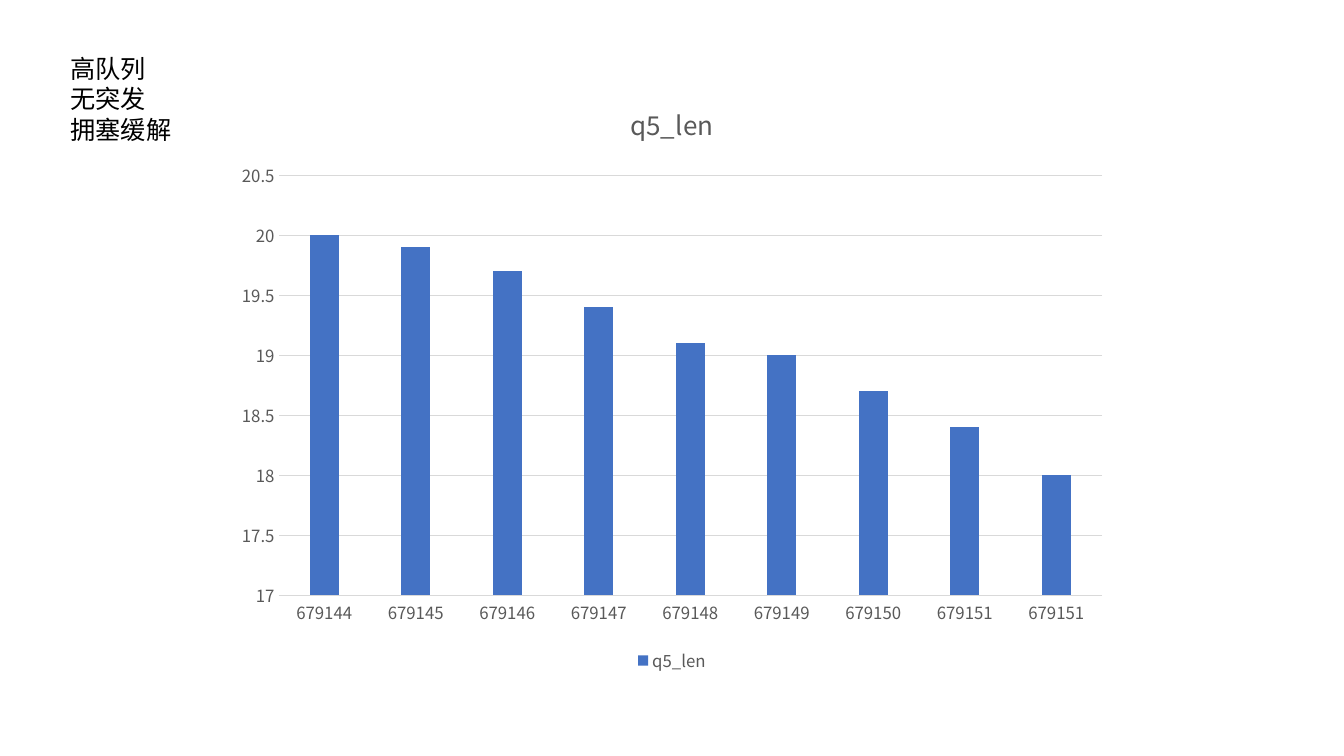
"""Build a slide with a queue length column chart and a short note."""
from lxml import etree
from pptx import Presentation
from pptx.chart.data import CategoryChartData
from pptx.dml.color import RGBColor
from pptx.enum.chart import XL_CHART_TYPE, XL_LEGEND_POSITION, XL_TICK_MARK
from pptx.enum.text import MSO_AUTO_SIZE
from pptx.oxml.ns import qn
from pptx.util import Pt

COLUMN = XL_CHART_TYPE.COLUMN_CLUSTERED
BOTTOM = XL_LEGEND_POSITION.BOTTOM
NO_TICK = XL_TICK_MARK.NONE
GROW = MSO_AUTO_SIZE.SHAPE_TO_FIT_TEXT
FONT = "Noto Sans CJK SC"
GREY = "595959"
GRID = "D9D9D9"


def rgb(value):
    return RGBColor.from_string(value)


def set_font(font, size, color):
    for name, value in {"name": FONT, "size": Pt(size), "bold": False}.items():
        setattr(font, name, value)
    font.color.rgb = rgb(color)


prs = Presentation()
prs.slide_width, prs.slide_height = Pt(960), Pt(540)
s = prs.slides.add_slide(prs.slide_layouts[6])

tf = s.shapes.add_textbox(Pt(43.2), Pt(34.6), Pt(192), Pt(72.7)).text_frame
tf.word_wrap = True
tf.auto_size = GROW
tf.text = "高队列\n无突发\n拥塞缓解"
for p in tf.paragraphs:
    for r in p.runs:
        set_font(r.font, 18, "000000")
        etree.SubElement(r.font._element, qn("a:ea"), typeface=FONT)

data = CategoryChartData()
data.categories = [str(n) for n in range(679144, 679152)] + ["679151"]
data.add_series("q5_len", [20, 19.9, 19.7, 19.4, 19.1, 19, 18.7, 18.4, 18])
chart = s.shapes.add_chart(COLUMN, Pt(160), Pt(57), Pt(640), Pt(426.7), data).chart
set_font(chart.font, 10, "000000")

chart.has_title = True
tf = chart.chart_title.text_frame
tf.text = "q5_len"
set_font(tf.paragraphs[0].runs[0].font, 18.6, GREY)
chart.chart_title.include_in_layout = False

chart.has_legend = True
chart.legend.position = BOTTOM
chart.legend.include_in_layout = False
set_font(chart.legend.font, 12, GREY)

plot = chart.plots[0]
for name, value in {"gap_width": 219, "overlap": -27, "vary_by_categories": False}.items():
    setattr(plot, name, value)
fill = plot.series[0].format.fill
fill.solid()
fill.fore_color.rgb = rgb("4472C4")

cat, val = chart.category_axis, chart.value_axis
for axis in (cat, val):
    axis.major_tick_mark = axis.minor_tick_mark = NO_TICK
    set_font(axis.tick_labels.font, 12, GREY)
for name, value in {"minimum_scale": 17, "maximum_scale": 20.5, "major_unit": 0.5}.items():
    setattr(val, name, value)
val.tick_labels.number_format = "General"
val.tick_labels.number_format_is_linked = False
val.format.line.fill.background()
for line in (cat.format.line, val.major_gridlines.format.line):
    line.color.rgb = rgb(GRID)
    line.width = Pt(0.75)

prs.save("out.pptx")
